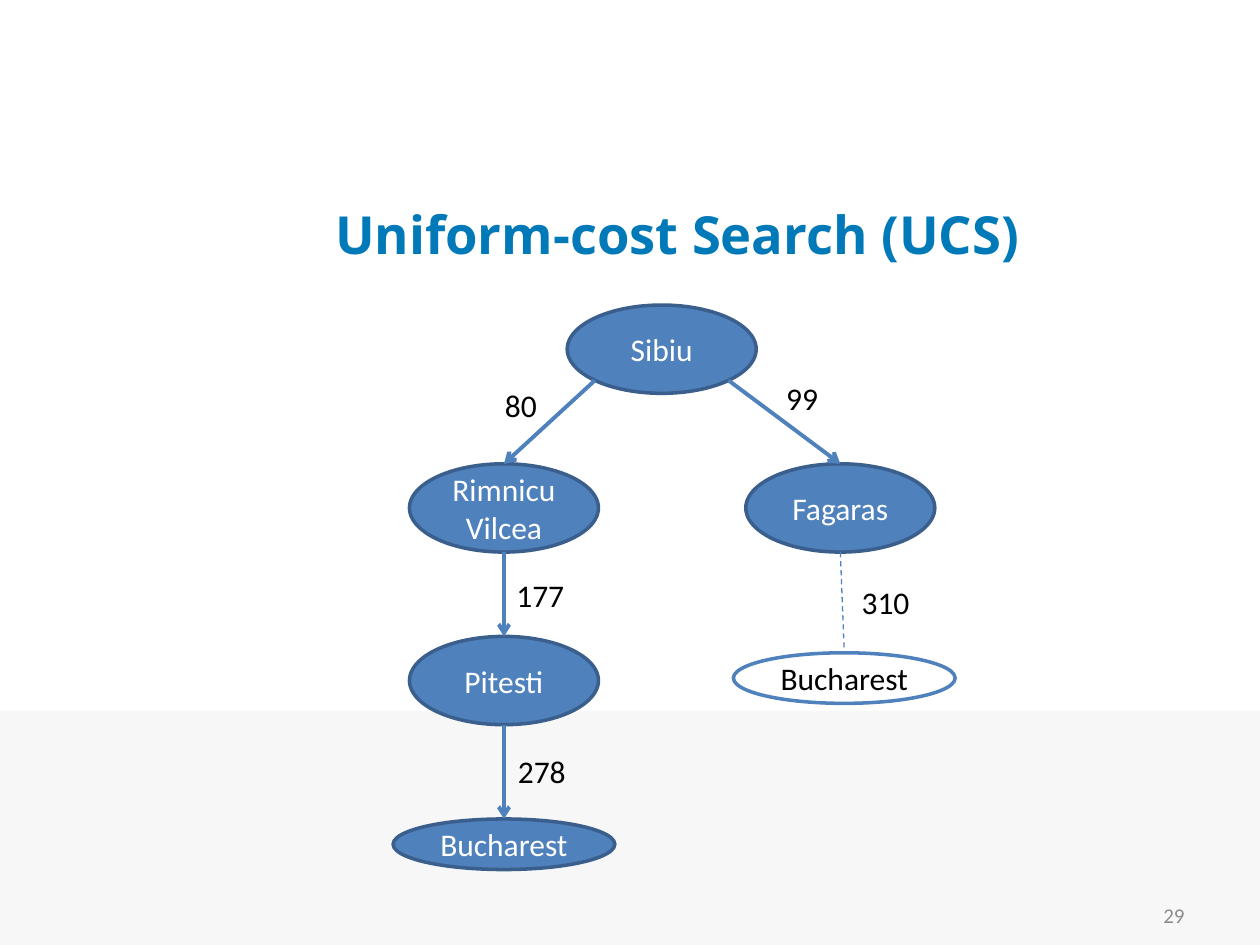
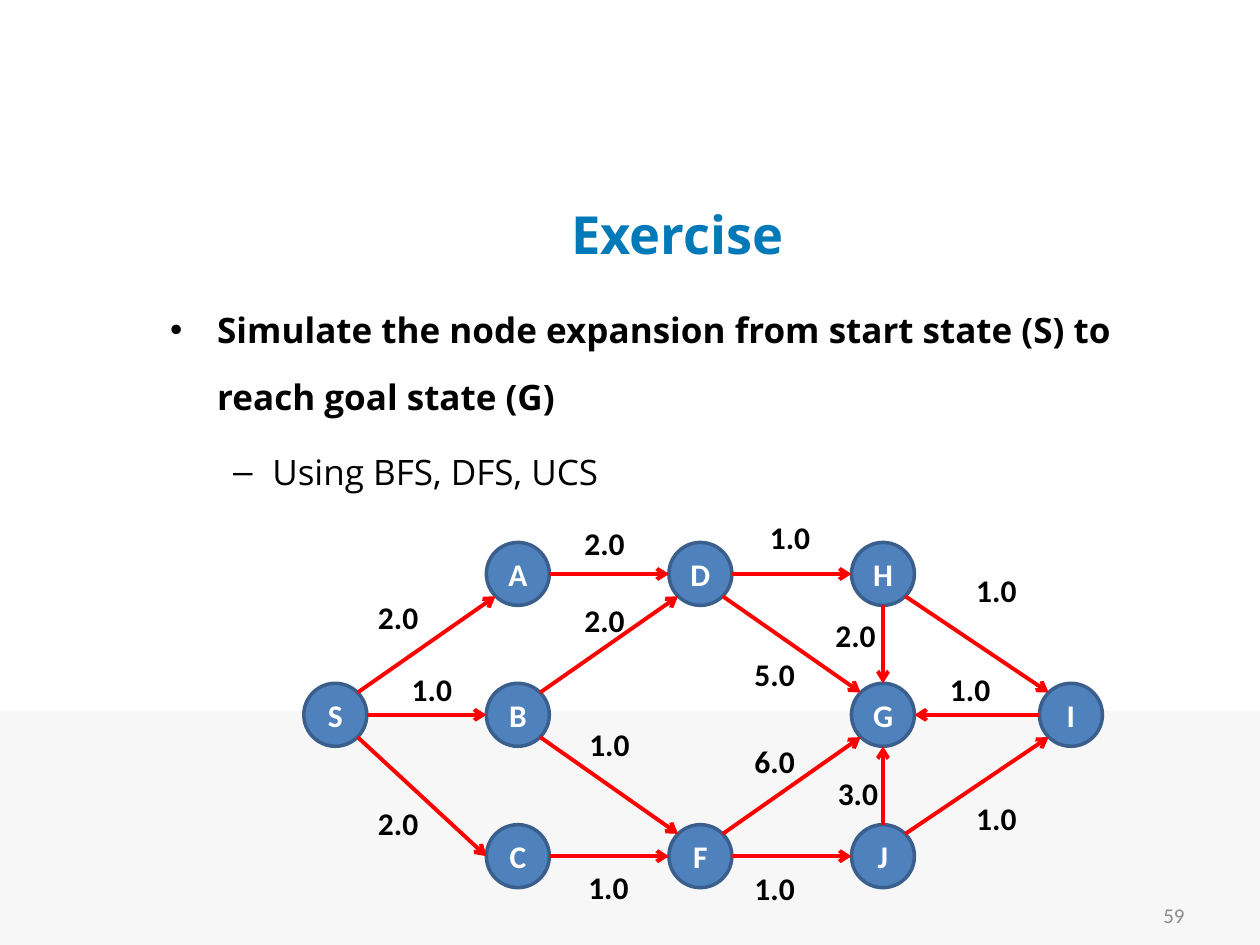
from math import sqrt

from pptx import Presentation as Deck
from pptx.dml.color import RGBColor as Rgb
from pptx.enum.dml import MSO_LINE as Dash
from pptx.enum.shapes import MSO_CONNECTOR as Link, MSO_SHAPE as Form
from pptx.enum.text import MSO_ANCHOR as Anchor, PP_ALIGN as Align
from pptx.oxml.ns import qn
from pptx.util import Cm, Pt
from lxml.etree import SubElement as add_tag

HUES = {"title": "0079B8", "band": "F7F7F7", "page": "8C8C8C", "node": "4F81BD",
        "rim": "3A5F8C", "edge": "FF0000", "dark": "000000", "light": "FFFFFF"}
HEAD, BODY = "Open Sans", "Calibri"

# Points on an oval, as shares of its half width and half height
DIAG = 1 / sqrt(2)
SITES = {"n": (0, -1), "s": (0, 1), "w": (-1, 0), "e": (1, 0),
         "nw": (-DIAG, -DIAG), "ne": (DIAG, -DIAG),
         "sw": (-DIAG, DIAG), "se": (DIAG, DIAG)}

# Route tree: name, centre x, centre y, width, height, label, hollow
CITY, GOAL = (3.81, 1.78), (4.47, 1.02)
TREE = [("sibiu", 13.34, 7.04, *CITY, "Sibiu", False),
        ("vilcea", 10.16, 10.24, *CITY, "Rimnicu Vilcea", False),
        ("fagaras", 16.94, 10.24, *CITY, "Fagaras", False),
        ("pitesti", 10.16, 13.72, *CITY, "Pitesti", False),
        ("goal", 10.16, 17.02, *GOAL, "Bucharest", False),
        ("open", 17.02, 13.67, *GOAL, "Bucharest", True)]

# Edges: start, its site, end, its site, cost, label left, label top
ROADS = [("sibiu", "sw", "vilcea", "n", "80", 9.93, 7.65),
         ("sibiu", "se", "fagaras", "n", "99", 15.6, 7.52),
         ("vilcea", "s", "pitesti", "n", "177", 10.16, 11.48),
         ("pitesti", "s", "goal", "n", "278", 10.19, 15.04),
         ("fagaras", "s", "open", "n", "310", 17.12, 11.63)]

# State graph: column centres, row centres, letters per row
COLS = [6.76, 10.44, 14.12, 17.8, 21.59]
ROWS = [11.57, 14.41, 17.26]
GRID = [" ADH ", "SB GI", " CFJ "]
DOT = 1.27
STEPS = [("S", "ne", "A", "sw", "2.0", 7.37, 11.94),
         ("S", "e", "B", "w", "1.0", 8.05, 13.39),
         ("S", "se", "C", "w", "2.0", 7.37, 16.08),
         ("A", "e", "D", "w", "2.0", 11.53, 10.44),
         ("C", "e", "F", "w", "1.0", 11.61, 17.37),
         ("F", "e", "J", "w", "1.0", 14.96, 17.4),
         ("D", "e", "H", "w", "1.0", 15.27, 10.31),
         ("J", "ne", "I", "sw", "1.0", 19.43, 15.98),
         ("I", "w", "G", "e", "1.0", 18.9, 13.39),
         ("H", "se", "I", "nw", "1.0", 19.43, 11.38),
         ("B", "ne", "D", "sw", "2.0", 11.53, 11.99),
         ("B", "se", "F", "nw", "1.0", 11.63, 14.5),
         ("F", "ne", "G", "sw", "6.0", 14.96, 14.83),
         ("D", "se", "G", "nw", "5.0", 14.96, 13.08),
         ("J", "n", "G", "s", "3.0", 16.64, 15.47),
         ("H", "s", "G", "n", "2.0", 16.59, 12.29)]


def hue(key):
    return Rgb.from_string(HUES[key])


def style(para, size, color, font=BODY, bold=False, align=None):
    para.alignment = align
    for run in para.runs:
        run.font.size, run.font.name, run.font.bold = Pt(size), font, bold
        run.font.color.rgb = hue(color)


def add_text(slide, box, text, size, color, wrap=True, anchor=Anchor.MIDDLE, **look):
    frame = slide.shapes.add_textbox(*map(Cm, box)).text_frame
    frame.word_wrap, frame.vertical_anchor = wrap, anchor
    frame.text = text
    for para in frame.paragraphs:
        style(para, size, color, **look)
    return frame


def add_form(slide, form, box, fill, rim=None):
    shape = slide.shapes.add_shape(form, *map(Cm, box))
    shape.shadow.inherit = False
    shape.fill.solid()
    shape.fill.fore_color.rgb = hue(fill)
    if rim:
        shape.line.color.rgb, shape.line.width = hue(rim), Pt(2)
    else:
        shape.line.fill.background()
    return shape


def add_node(slide, x, y, wide, high, text, bold=False, hollow=False):
    fill, rim, ink = ("light", "node", "dark") if hollow else ("node", "rim", "light")
    oval = add_form(slide, Form.OVAL, (x - wide / 2, y - high / 2, wide, high), fill, rim)
    frame = oval.text_frame
    frame.text, frame.vertical_anchor = text, Anchor.MIDDLE
    style(frame.paragraphs[0], 18, ink, bold=bold, align=Align.CENTER)
    return x, y, wide, high


def site(node, side):
    x, y, wide, high = node
    across, down = SITES[side]
    return Cm(x + across * wide / 2), Cm(y + down * high / 2)


def add_edge(slide, start, end, color, dashed=False):
    edge = slide.shapes.add_connector(Link.STRAIGHT, *start, *end)
    edge.line.color.rgb = hue(color)
    edge.line.width = Pt(0.75 if dashed else 2.25)
    if dashed:
        edge.line.dash_style = Dash.DASH
    else:
        add_tag(edge.line._get_or_add_ln(), qn("a:tailEnd"), type="arrow")
    add_tag(edge._element.spPr, qn("a:effectLst"))


def add_edges(slide, nodes, edges, color, bold=False, dashed=()):
    for start, out, end, into, cost, left, top in edges:
        add_edge(slide, site(nodes[start], out), site(nodes[end], into),
                 color, end in dashed)
        wide = {"2": 1.17, "3": 1.5 if not bold else 1.32}[str(len(cost))]
        add_text(slide, (left, top, wide, 1.02), cost, 18, "dark",
                 wrap=False, anchor=Anchor.TOP, bold=bold)


def add_bullet(para, mark, left, hang, bold):
    style(para, 20, "dark", font=HEAD, bold=bold)
    para.line_spacing, para.space_before = 1.6, Pt(4)
    props = para._p.get_or_add_pPr()
    props.set("marL", str(Cm(left)))
    props.set("indent", str(-Cm(hang)))
    add_tag(props, qn("a:buFont"), typeface="Arial")
    add_tag(props, qn("a:buChar"), char=mark)


def add_slide(deck, title, page):
    """Start a slide with the shared band, title and page number."""
    slide = deck.slides.add_slide(deck.slide_layouts[6])
    add_form(slide, Form.RECTANGLE, (0, 14.33, 25.4, 4.72), "band")
    add_text(slide, (3.18, 3.81, 20.95, 1.78), title, 30, "title",
             font=HEAD, bold=True, align=Align.CENTER)
    add_text(slide, (18.2, 17.93, 5.93, 1.02), page, 12, "page", align=Align.RIGHT)
    return slide


def draw_tree(deck):
    slide = add_slide(deck, "Uniform-cost Search (UCS)", "29")
    nodes = {name: add_node(slide, *spot, hollow=hollow)
             for name, *spot, hollow in TREE}
    add_edges(slide, nodes, ROADS, "node", dashed=("open",))


def draw_graph(deck):
    slide = add_slide(deck, "Exercise", "59")
    # Task
    task = ("Simulate the node expansion from start state (S) to reach goal state (G)\n"
            "Using BFS, DFS, UCS")
    frame = add_text(slide, (3.18, 5.59, 21.13, 12.4), task, 20, "dark", anchor=Anchor.TOP)
    first, second = frame.paragraphs
    add_bullet(first, "•", 0.95, 0.95, True)
    add_bullet(second, "–", 2.06, 0.79, False)
    second.level = 1
    # States and costs
    nodes = {name: add_node(slide, x, y, DOT, DOT, name, bold=True)
             for y, row in zip(ROWS, GRID)
             for x, name in zip(COLS, row) if name != " "}
    add_edges(slide, nodes, STEPS, "edge", bold=True)


def main():
    deck = Deck()
    deck.slide_width, deck.slide_height = Cm(25.4), Cm(19.05)
    draw_tree(deck)
    draw_graph(deck)
    deck.save("out.pptx")


if __name__ == "__main__":
    main()
